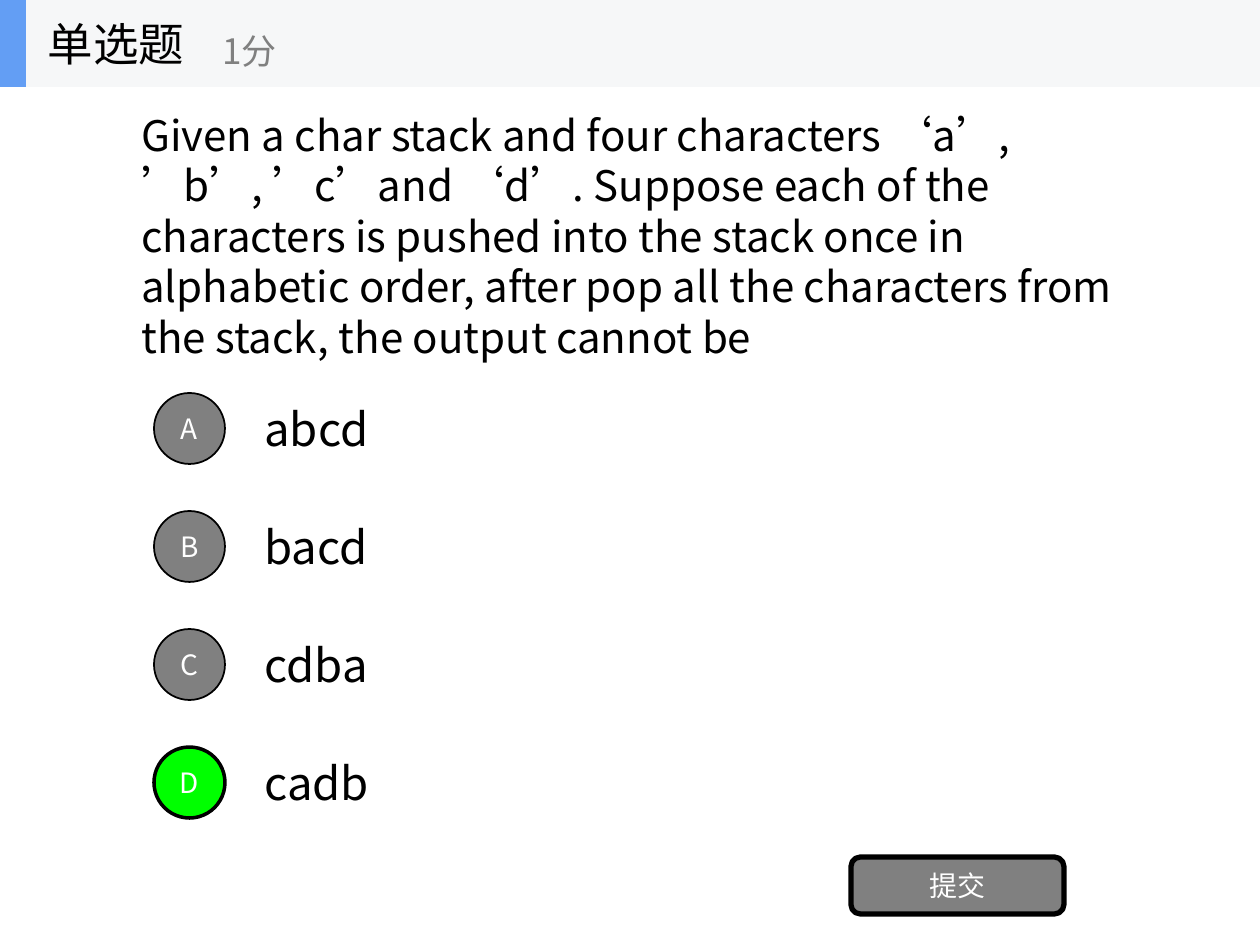
from dataclasses import dataclass

from lxml import etree
from pptx import Presentation
from pptx.dml.color import RGBColor
from pptx.enum.shapes import MSO_SHAPE
from pptx.enum.text import MSO_ANCHOR, MSO_AUTO_SIZE, PP_ALIGN
from pptx.oxml.ns import qn
from pptx.util import Pt

RECTANGLE = MSO_SHAPE.RECTANGLE
ROUNDED = MSO_SHAPE.ROUNDED_RECTANGLE
OVAL = MSO_SHAPE.OVAL
MIDDLE = MSO_ANCHOR.MIDDLE
NO_AUTOFIT = MSO_AUTO_SIZE.NONE
LEFT, CENTER = PP_ALIGN.LEFT, PP_ALIGN.CENTER

EMU_PER_PX = 914400 / 126
TITLE_ONLY = 5


@dataclass(frozen=True)
class Theme:
    font: str = "Noto Sans CJK SC"
    text: str = "000000"
    light: str = "FFFFFF"
    grey: str = "808080"
    correct: str = "00FF00"
    band: str = "F6F7F8"
    accent: str = "639EF4"
    heading_size: int = 26
    question_size: int = 24
    points_size: int = 20
    label_size: int = 16


THEME = Theme()


def px(*lengths):
    return [round(length * EMU_PER_PX) for length in lengths]


def write(shape, text, size, color, align=LEFT, wrap=True):
    frame = shape.text_frame
    frame.auto_size = NO_AUTOFIT
    frame.word_wrap = wrap
    frame.vertical_anchor = MIDDLE
    paragraph = frame.paragraphs[0]
    paragraph.alignment = align
    run = paragraph.add_run()
    run.text = text
    run.font.size = Pt(size)
    run.font.name = THEME.font
    run.font.color.rgb = RGBColor.from_string(color)
    # East Asian typeface gives the wide quotation marks
    properties = run.font._element
    properties.set("lang", "zh-CN")
    etree.SubElement(properties, qn("a:ea"), typeface=THEME.font)


def add_text(slide, box, text, size, color=THEME.text, wrap=True):
    write(slide.shapes.add_textbox(*px(*box)), text, size, color, wrap=wrap)


def add_block(shapes, kind, box, fill, line_width=0):
    shape = shapes.add_shape(kind, *px(*box))
    shape.shadow.inherit = False
    shape.fill.solid()
    shape.fill.fore_color.rgb = RGBColor.from_string(fill)
    if line_width:
        shape.line.color.rgb = RGBColor.from_string(THEME.text)
        shape.line.width = Pt(line_width)
    else:
        shape.line.fill.background()
    return shape


def add_button(slide, kind, box, label, fill, line_width):
    shape = add_block(slide.shapes, kind, box, fill, line_width)
    write(shape, label, THEME.label_size, THEME.light, CENTER)


def add_header(slide, heading, points):
    band = slide.shapes.add_group_shape()
    add_block(band.shapes, RECTANGLE, (0, 0, 1260, 87), THEME.band)
    add_block(band.shapes, RECTANGLE, (0, 0, 26, 87), THEME.accent)
    title = slide.shapes.title
    title.left, title.top, title.width, title.height = px(35, 0, 262, 87)
    write(title, heading, THEME.heading_size, THEME.text, wrap=False)
    # Bring the title in front of the band
    band.element.addnext(title.element)
    add_text(slide, (210, 15, 315, 71), points, THEME.points_size,
             THEME.grey, wrap=False)


def add_options(slide, options, answer):
    top, pitch = 384, 118
    for index, (letter, text) in enumerate(options.items()):
        y = top + index * pitch
        fill, width = (THEME.correct, 2) if letter == answer else (THEME.grey, 1)
        add_text(slide, (252, y, 882, 88), text, THEME.heading_size)
        add_button(slide, OVAL, (154, y + 9, 71, 71), letter, fill, width)


def main():
    presentation = Presentation()
    presentation.slide_width, presentation.slide_height = px(1260, 945)
    slide = presentation.slides.add_slide(presentation.slide_layouts[TITLE_ONLY])

    # Header
    add_header(slide, "单选题", "1分")

    # Question and its options
    add_text(
        slide, (129, 88, 1008, 295),
        "Given a char stack and four characters ‘a’, ’b’, ’c’and ‘d’. "
        "Suppose each of the characters is pushed into the stack once in "
        "alphabetic order, after pop all the characters from the stack, "
        "the output cannot be",
        THEME.question_size)
    add_options(slide, {"A": "abcd", "B": "bacd", "C": "cdba", "D": "cadb"}, "D")

    # Submit button
    add_button(slide, ROUNDED, (851, 857, 213, 57), "提交", THEME.grey, 3)

    presentation.save("out.pptx")


if __name__ == "__main__":
    main()
